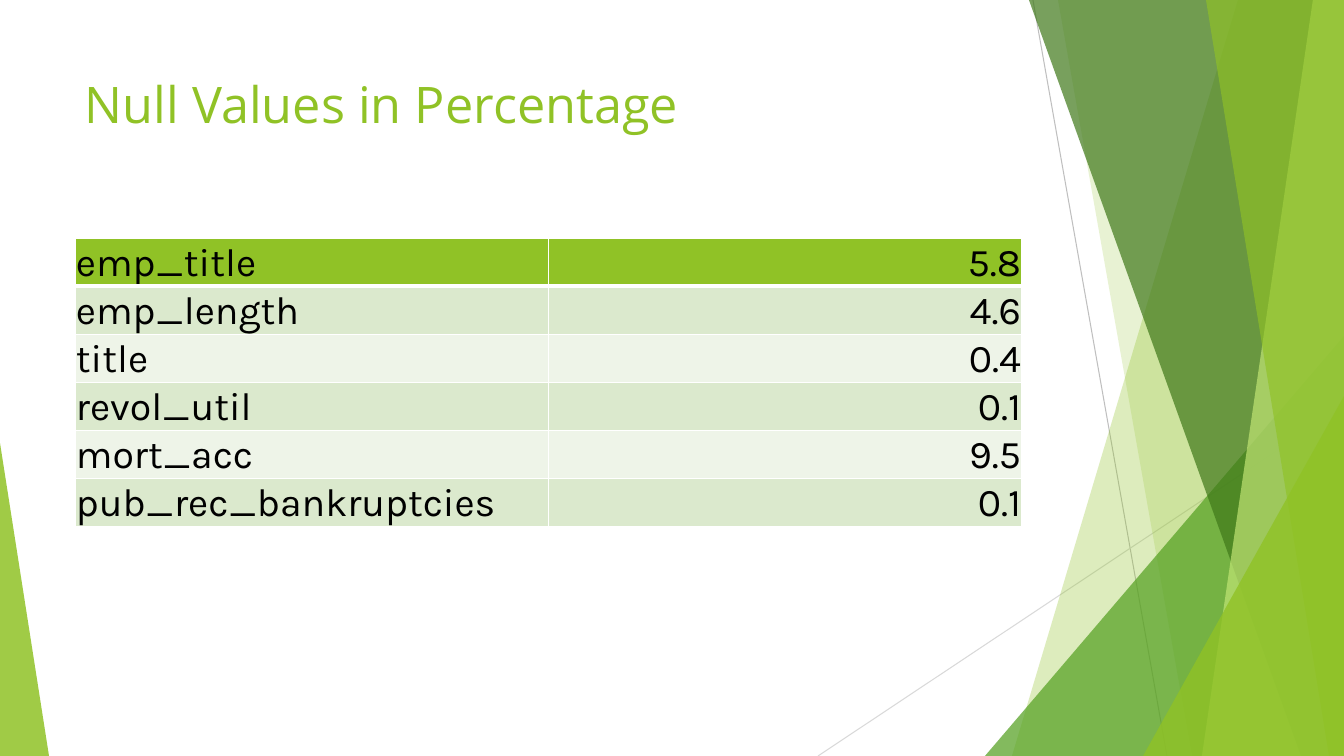
from pptx import Presentation
from pptx.dml.color import RGBColor as Rgb
from pptx.enum.shapes import MSO_CONNECTOR as Link, MSO_SHAPE as Form
from pptx.enum.text import MSO_ANCHOR as Anchor, PP_ALIGN as Align
from pptx.oxml.ns import qn
from pptx.oxml.xmlchemy import OxmlElement as Node
from pptx.util import Emu, Pt

WIDE, HIGH = 1344, 756
SCALE = 914400 / 100.8
LIME, WHITE = "90C226", "FFFFFF"
ROWS = [
    ("emp_title", "5.8"),
    ("emp_length", "4.6"),
    ("title", "0.4"),
    ("revol_util", "0.1"),
    ("mort_acc", "9.5"),
    ("pub_rec_bankruptcies", "0.1"),
]


def px(n):
    return Emu(round(n * SCALE))


def tint(code):
    return Rgb.from_string(code)


class Page:
    """Draws styled elements on one slide."""

    def __init__(self, deck):
        self.items = deck.slides.add_slide(deck.slide_layouts[6]).shapes
        self.head, self.body = "Open Sans", "Karla"

    def paint(self, shape, code, alpha):
        shape.shadow.inherit = False
        shape.fill.solid()
        shape.fill.fore_color.rgb = tint(code)
        shape.line.fill.background()
        clear = Node("a:alpha")
        clear.set("val", str(alpha * 1000))
        shape.element.spPr.find(".//" + qn("a:srgbClr")).append(clear)

    def line(self, x1, y1, x2, y2, code):
        link = self.items.add_connector(Link.STRAIGHT, px(x1), px(y1), px(x2), px(y2))
        link.line.color.rgb = tint(code)
        link.line.width = Pt(0.75)
        link.element.spPr.append(Node("a:effectLst"))

    def band(self, top, foot, code, alpha):
        pen = self.items.build_freeform(top, 0, scale=SCALE)
        pen.add_line_segments([(WIDE, 0), (WIDE, HIGH), (foot, HIGH)], close=True)
        self.paint(pen.convert_to_shape(), code, alpha)

    def wedge(self, x, y, wide, peak, code, alpha):
        shape = self.items.add_shape(
            Form.ISOSCELES_TRIANGLE, px(x), px(y), px(wide), px(HIGH - y))
        shape.adjustments[0] = peak
        self.paint(shape, code, alpha)

    def text(self, para, words, font, size, code):
        run = para.add_run()
        run.text = words
        run.font.name = font
        run.font.size = Pt(size)
        run.font.color.rgb = tint(code)

    def title(self, x, y, wide, high, words):
        frame = self.items.add_textbox(px(x), px(y), px(wide), px(high)).text_frame
        frame.word_wrap = True
        frame.vertical_anchor = Anchor.TOP
        self.text(frame.paragraphs[0], words, self.head, 36, LIME)

    def edge(self, cell, side, width):
        line = Node("a:ln" + side)
        line.set("w", str(Pt(width)))
        fill, color = Node("a:solidFill"), Node("a:srgbClr")
        color.set("val", WHITE)
        fill.append(color)
        line.append(fill)
        cell._tc.get_or_add_tcPr().append(line)

    def cell(self, cell, words, row, align):
        cell.margin_left = cell.margin_right = cell.margin_top = px(1)
        cell.margin_bottom = 0
        cell.vertical_anchor = Anchor.BOTTOM
        for side in "LRTB":
            thick = (row, side) in ((0, "B"), (1, "T"))
            self.edge(cell, side, 3 if thick else 1)
        cell.fill.solid()
        shade = ("EEF4E8", "DBE9CD")[row % 2] if row else LIME
        cell.fill.fore_color.rgb = tint(shade)
        para = cell.text_frame.paragraphs[0]
        para.alignment = align
        self.text(para, words, self.body, 28, "000000")

    def table(self, x, y, wide, step, rows):
        grid = self.items.add_table(
            len(rows), 2, px(x), px(y), px(wide), px(step * len(rows))).table
        for r, row in enumerate(rows):
            for c, align in enumerate((Align.LEFT, Align.RIGHT)):
                self.cell(grid.cell(r, c), row[c], r, align)


def main():
    deck = Presentation()
    deck.slide_width, deck.slide_height = px(WIDE), px(HIGH)
    page = Page(deck)
    page.line(1033, 0, 1167, HIGH, "BFBFBF")
    page.line(WIDE, 406, 818, HIGH, "D9D9D9")
    page.band(1238, 1012, LIME, 30)
    page.band(1058, 1192, LIME, 20)
    page.wedge(985, 336, 359, 1, "54A021", 72)
    page.band(1029, 1301, "3F7819", 70)
    page.band(1313, 1202, "C0E474", 70)
    page.band(1206, 1329, LIME, 65)
    page.wedge(1143, 396, 201, 1, LIME, 80)
    page.wedge(0, 443, 49, 0, LIME, 85)
    page.title(75, 68, 947, 145, "Null Values in Percentage")
    page.table(75, 238, 947, 36, ROWS)
    deck.save("out.pptx")


if __name__ == "__main__":
    main()
